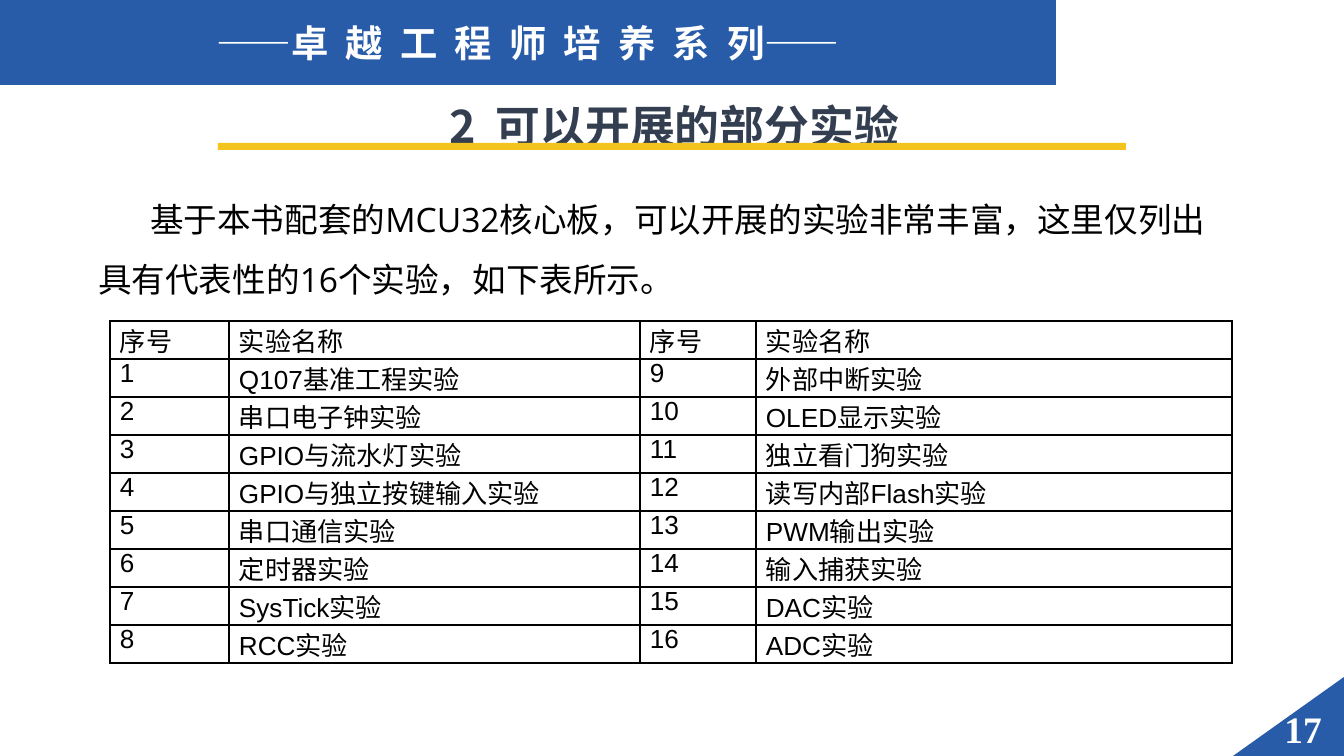
import pptx
import pptx.dml.color
import pptx.enum.shapes
import pptx.enum.text
import pptx.oxml
import pptx.oxml.ns
import pptx.util

ALIGN = pptx.enum.text.PP_ALIGN
ANCHOR = pptx.enum.text.MSO_ANCHOR
SHAPE = pptx.enum.shapes.MSO_SHAPE

EXPERIMENTS = [
    "Q107基准工程实验", "串口电子钟实验", "GPIO与流水灯实验", "GPIO与独立按键输入实验",
    "串口通信实验", "定时器实验", "SysTick实验", "RCC实验",
    "外部中断实验", "OLED显示实验", "独立看门狗实验", "读写内部Flash实验",
    "PWM输出实验", "输入捕获实验", "DAC实验", "ADC实验",
]


def px(length):
    return pptx.util.Emu(round(length * 9144000 / 1344))


def color(code):
    return pptx.dml.color.RGBColor.from_string(code)


def write(para, text, size=14, font="Arial", ink="000000", bold=False, gap=0):
    span = para.add_run()
    span.text = text
    span.font.size = pptx.util.Pt(size)
    span.font.name = font
    span.font.bold = bold
    span.font.color.rgb = color(ink)
    properties = span.font._element
    if gap:
        properties.set("spc", str(round(gap * 100)))
    east_asian = pptx.oxml.parse_xml(
        f'<a:ea {pptx.oxml.ns.nsdecls("a")} typeface="Noto Sans CJK SC"/>')
    properties.find(pptx.oxml.ns.qn("a:latin")).addnext(east_asian)


class SlideBuilder:
    """Holds the deck style and the slide being built."""

    blue = "285CA9"
    yellow = "F4C41E"
    slate = "333F50"
    white = "FFFFFF"
    black = "000000"
    heading = "Noto Sans CJK SC"

    def __init__(self, deck):
        self.page = deck.slides.add_slide(deck.slide_layouts[6])

    def block(self, left, top, width, height, fill, kind=SHAPE.RECTANGLE, turn=0):
        shape = self.page.shapes.add_shape(kind, px(left), px(top), px(width), px(height))
        shape.shadow.inherit = False
        shape.fill.solid()
        shape.fill.fore_color.rgb = color(fill)
        shape.line.fill.background()
        shape.rotation = turn

    def text(self, left, top, width, height, spans, align=ALIGN.LEFT, spacing=1.0,
             indent=0, anchor=ANCHOR.TOP, **style):
        box = self.page.shapes.add_textbox(px(left), px(top), px(width), px(height))
        box.text_frame.word_wrap = True
        box.text_frame.vertical_anchor = anchor
        para = box.text_frame.paragraphs[0]
        para.alignment = align
        para.line_spacing = spacing
        if indent:
            para._p.get_or_add_pPr().set("indent", str(px(indent)))
        for text, gap in spans:
            write(para, text, gap=gap, **style)

    def border(self, cell):
        properties = cell._tc.get_or_add_tcPr()
        for index, side in enumerate("LRTB"):
            properties.insert(index, pptx.oxml.parse_xml(
                f'<a:ln{side} {pptx.oxml.ns.nsdecls("a")} w="12700"><a:solidFill>'
                f'<a:srgbClr val="{self.black}"/></a:solidFill></a:ln{side}>'))

    def table(self, left, top, widths, row_height, rows):
        frame = self.page.shapes.add_table(
            len(rows), len(widths), px(left), px(top), px(sum(widths)), px(row_height * len(rows)))
        table = frame.table
        table.first_row = table.horz_banding = False
        for column, width in zip(table.columns, widths):
            column.width = px(width)
        for row, texts in zip(table.rows, rows):
            row.height = px(row_height)
            for cell, text in zip(row.cells, texts):
                cell.fill.background()
                cell.margin_left = cell.margin_right = px(10)
                cell.margin_top = cell.margin_bottom = 0
                para = cell.text_frame.paragraphs[0]
                para.alignment = ALIGN.JUSTIFY
                para.space_after = pptx.util.Pt(6)
                write(para, text)
                self.border(cell)


def main():
    deck = pptx.Presentation()
    deck.slide_width, deck.slide_height = px(1344), px(756)
    slide = SlideBuilder(deck)

    slide.block(1249, 661, 79, 111, slide.blue, SHAPE.RIGHT_TRIANGLE, 270)
    slide.text(1269, 707, 66, 43, [("17", 0)], ALIGN.RIGHT, anchor=ANCHOR.MIDDLE,
               size=20, font="Times New Roman", ink=slide.white, bold=True)

    slide.text(168, 81, 1012, 58, [("2 ", 2.7), ("可以开展的部分实验", 0)], ALIGN.CENTER, 1.2,
               size=24, font=slide.heading, ink=slide.slate, bold=True)
    slide.block(218, 143, 908, 7, slide.yellow)

    half = len(EXPERIMENTS) // 2
    rows = [["序号", "实验名称"] * 2]
    for index in range(half):
        rows.append([str(index + 1), EXPERIMENTS[index],
                     str(index + half + 1), EXPERIMENTS[index + half]])
    slide.table(110, 321, [119, 411, 116, 476], 38, rows)

    intro = "基于本书配套的MCU32核心板，可以开展的实验非常丰富，这里仅列出具有代表性的16个实验，如下表所示。"
    slide.text(85, 172, 1164, 129, [(intro, 0)], spacing=1.5, indent=52,
               size=18, font="Open Sans")

    slide.block(0, 0, 1056, 85, slide.blue)
    series = [("——", 0), ("卓 越 工 程 师 培 养 系 ", 2.3), ("列——", 0)]
    slide.text(0, 14, 1056, 59, series, ALIGN.CENTER,
               size=20, font=slide.heading, ink=slide.white, bold=True)

    deck.save("out.pptx")


if __name__ == "__main__":
    main()
